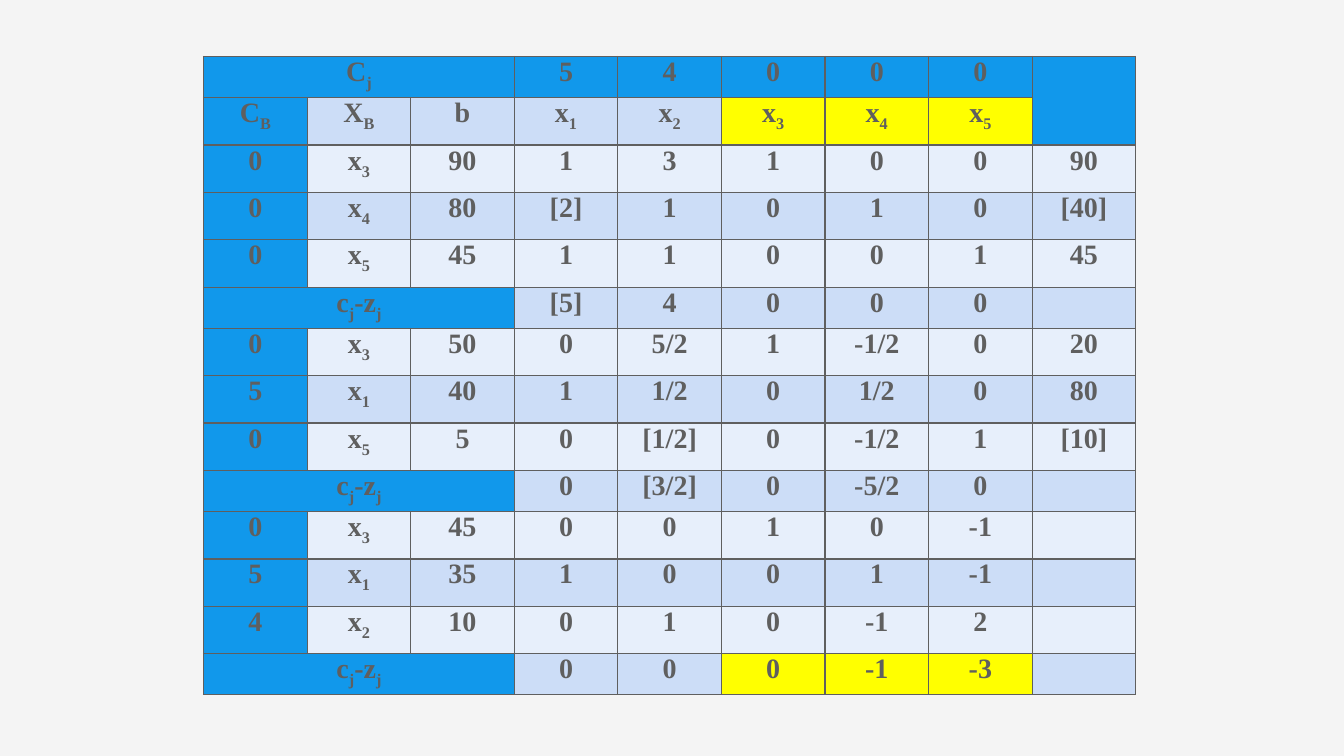
from lxml import etree
from pptx import Presentation
from pptx.dml.color import RGBColor
from pptx.enum import text
from pptx.oxml import ns
from pptx.util import Pt

BLUE, BAND, LIGHT, YELLOW = "1198EB", "CCDDF7", "E7EFFB", "FFFF00"
GREY, BACKGROUND = "5F5F5F", "F4F4F4"
COLUMN_WIDTH, ROW_HEIGHT, SUMMARY_HEIGHT = 74, 33.9, 29.3
SUMMARY_ROWS = (0, 5, 9, 13)
BASIC_COLUMNS = range(5, 8)

TABLEAU = """
C_j|||5|4|0|0|0|
C_B|X_B|b|x_1|x_2|x_3|x_4|x_5|
0|x_3|90|1|3|1|0|0|90
0|x_4|80|[2]|1|0|1|0|[40]
0|x_5|45|1|1|0|0|1|45
c_j-z_j|||[5]|4|0|0|0|
0|x_3|50|0|5/2|1|-1/2|0|20
5|x_1|40|1|1/2|0|1/2|0|80
0|x_5|5|0|[1/2]|0|-1/2|1|[10]
c_j-z_j|||0|[3/2]|0|-5/2|0|
0|x_3|45|0|0|1|0|-1|
5|x_1|35|1|0|0|1|-1|
4|x_2|10|0|1|0|-1|2|
c_j-z_j|||0|0|0|-1|-3|
"""


def color(value):
    return RGBColor.from_string(value)


def set_format(target, values):
    for name, value in values.items():
        setattr(target, name, value)


def add_run(paragraph, content, subscript=False):
    if not content:
        return
    run = paragraph.add_run()
    run.text = content
    set_format(run.font, {"name": "Times New Roman", "size": Pt(20), "bold": True})
    run.font.color.rgb = color(GREY)
    if subscript:
        run.font._element.set("baseline", "-25000")


def write_term(paragraph, term):
    first, *parts = term.split("_")
    add_run(paragraph, first)
    for part in parts:
        add_run(paragraph, part[0], subscript=True)
        add_run(paragraph, part[1:])


def add_borders(cell):
    properties = cell._tc.get_or_add_tcPr()
    for side in "LRTB":
        line = etree.SubElement(properties, ns.qn(f"a:ln{side}"), w=str(Pt(1)))
        fill = etree.SubElement(line, ns.qn("a:solidFill"))
        etree.SubElement(fill, ns.qn("a:srgbClr"), val=GREY)


def cell_color(row, column):
    if row == 0 or column == 0 or (row, column) == (1, 8):
        return BLUE
    if row in (1, 13) and column in BASIC_COLUMNS:
        return YELLOW
    return BAND if row % 2 else LIGHT


def fill_cell(cell, term, background):
    set_format(cell, {"margin_left": Pt(5), "margin_right": Pt(5),
                      "margin_top": 0, "margin_bottom": 0})
    add_borders(cell)
    cell.fill.solid()
    cell.fill.fore_color.rgb = color(background)
    paragraph = cell.text_frame.paragraphs[0]
    paragraph.alignment = text.PP_ALIGN.CENTER
    write_term(paragraph, term)


def add_tableau(slide, left, top):
    rows = [line.split("|") for line in TABLEAU.strip().splitlines()]
    heights = [SUMMARY_HEIGHT if row in SUMMARY_ROWS else ROW_HEIGHT
               for row in range(len(rows))]
    columns = len(rows[0])
    table = slide.shapes.add_table(
        len(rows), columns, Pt(left), Pt(top),
        Pt(columns * COLUMN_WIDTH), Pt(sum(heights))).table
    set_format(table, {"first_row": False, "horz_banding": False})
    for column in table.columns:
        column.width = Pt(COLUMN_WIDTH)
    for row, terms in enumerate(rows):
        table.rows[row].height = Pt(heights[row])
        for column, term in enumerate(terms):
            fill_cell(table.cell(row, column), term, cell_color(row, column))
    for row in SUMMARY_ROWS:
        table.cell(row, 0).merge(table.cell(row, 2))
    table.cell(0, 8).merge(table.cell(1, 8))


def main():
    presentation = Presentation()
    set_format(presentation, {"slide_width": Pt(960), "slide_height": Pt(540)})
    slide = presentation.slides.add_slide(presentation.slide_layouts[6])
    slide.background.fill.solid()
    slide.background.fill.fore_color.rgb = color(BACKGROUND)
    add_tableau(slide, 145.4, 40.4)
    presentation.save("out.pptx")


if __name__ == "__main__":
    main()
